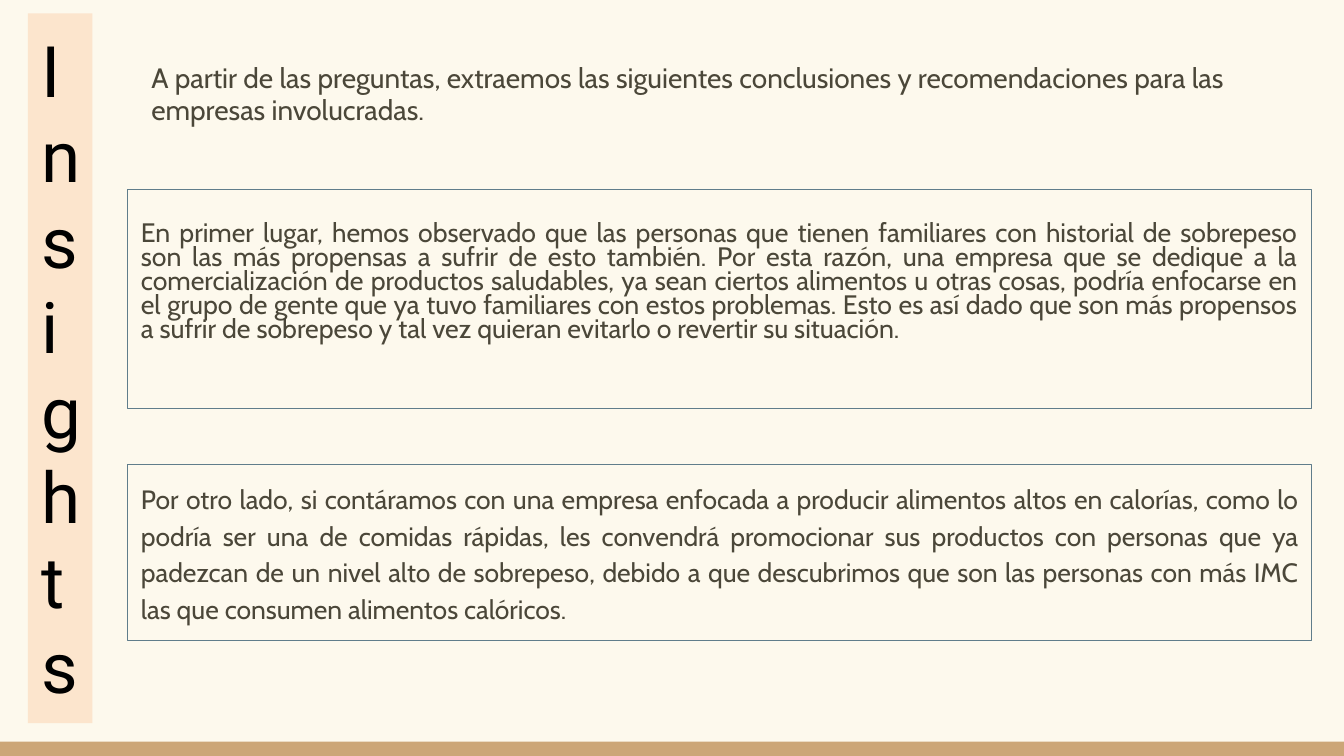
from pptx import Presentation
from pptx.dml.color import RGBColor
from pptx.enum.shapes import MSO_SHAPE
from pptx.enum.text import MSO_ANCHOR, PP_ALIGN
from pptx.util import Pt

RECTANGLE = MSO_SHAPE.RECTANGLE
TOP = MSO_ANCHOR.TOP
LEFT = PP_ALIGN.LEFT
JUSTIFY = PP_ALIGN.JUSTIFY

WIDTH, HEIGHT = 720, 405
CREAM, PEACH, TAN = "FDF9ED", "FCE5CD", "CCA677"
STEEL, INK, BLACK = "607D8B", "4B4739", "000000"
INSET = 7.2

INTRO = ("A partir de las preguntas, extraemos las siguientes conclusiones y "
         "recomendaciones para las empresas involucradas.")
FAMILY_HISTORY = (
    "En primer lugar, hemos observado que las personas que tienen familiares con "
    "historial de sobrepeso son las más propensas a sufrir de esto también. Por esta "
    "razón, una empresa que se dedique a la comercialización de productos saludables, "
    "ya sean ciertos alimentos u otras cosas, podría enfocarse en el grupo de gente que "
    "ya tuvo familiares con estos problemas. Esto es así dado que son más propensos a "
    "sufrir de sobrepeso y tal vez quieran evitarlo o revertir su situación.")
FAST_FOOD = (
    "Por otro lado, si contáramos con una empresa enfocada a producir alimentos altos en "
    "calorías, como lo podría ser una de comidas rápidas, les convendrá promocionar sus "
    "productos con personas que ya padezcan de un nivel alto de sobrepeso, debido a que "
    "descubrimos que son las personas con más IMC las que consumen alimentos calóricos.")


def color(hex_value):
    return RGBColor.from_string(hex_value)


def add_panel(slide, box, fill, line=None):
    panel = slide.shapes.add_shape(RECTANGLE, *map(Pt, box))
    panel.shadow.inherit = False
    panel.fill.solid()
    panel.fill.fore_color.rgb = color(fill)
    if line:
        panel.line.color.rgb = color(line)
        panel.line.width = Pt(0.75)
    else:
        panel.line.fill.background()
    return panel


def write(shape, paragraphs, size, font="Cabin", ink=INK, align=LEFT,
          spacing=1.0, top_inset=INSET):
    frame = shape.text_frame
    frame.word_wrap = True
    frame.vertical_anchor = TOP
    frame.margin_left = frame.margin_right = frame.margin_bottom = Pt(INSET)
    frame.margin_top = Pt(top_inset)
    for index, text in enumerate(paragraphs):
        paragraph = frame.add_paragraph() if index else frame.paragraphs[0]
        paragraph.alignment = align
        paragraph.line_spacing = spacing
        run = paragraph.add_run()
        run.text = text
        run.font.size = Pt(size)
        run.font.name = font
        run.font.color.rgb = color(ink)


def add_sidebar(slide, box, word):
    write(add_panel(slide, box, PEACH), word, 38, font="Roboto", ink=BLACK)


def add_intro(slide, box, text):
    write(slide.shapes.add_textbox(*map(Pt, box)), [text], 15, spacing=0.95)


def add_conclusion(slide, box, text, size, spacing, top_inset=INSET):
    write(add_panel(slide, box, CREAM, STEEL), [text], size, align=JUSTIFY,
          spacing=spacing, top_inset=top_inset)


def add_insights(slide):
    slide.background.fill.solid()
    slide.background.fill.fore_color.rgb = color(CREAM)
    footer_height = 7.75
    add_panel(slide, (0, HEIGHT - footer_height, WIDTH, footer_height), TAN)
    add_sidebar(slide, (15, 7.2, 34.5, 380.2), "Insights")
    add_intro(slide, (74, 26.6, 623, 54.7), INTRO)
    left, width = 68.4, 634.3
    add_conclusion(slide, (left, 101.6, width, 117.4), FAMILY_HISTORY, 14.3, 0.75,
                   top_inset=18)
    add_conclusion(slide, (left, 249, width, 94.3), FAST_FOOD, 14.2, 1.15)


def main():
    deck = Presentation()
    deck.slide_width, deck.slide_height = Pt(WIDTH), Pt(HEIGHT)
    add_insights(deck.slides.add_slide(deck.slide_layouts[6]))
    deck.save("out.pptx")


if __name__ == "__main__":
    main()
